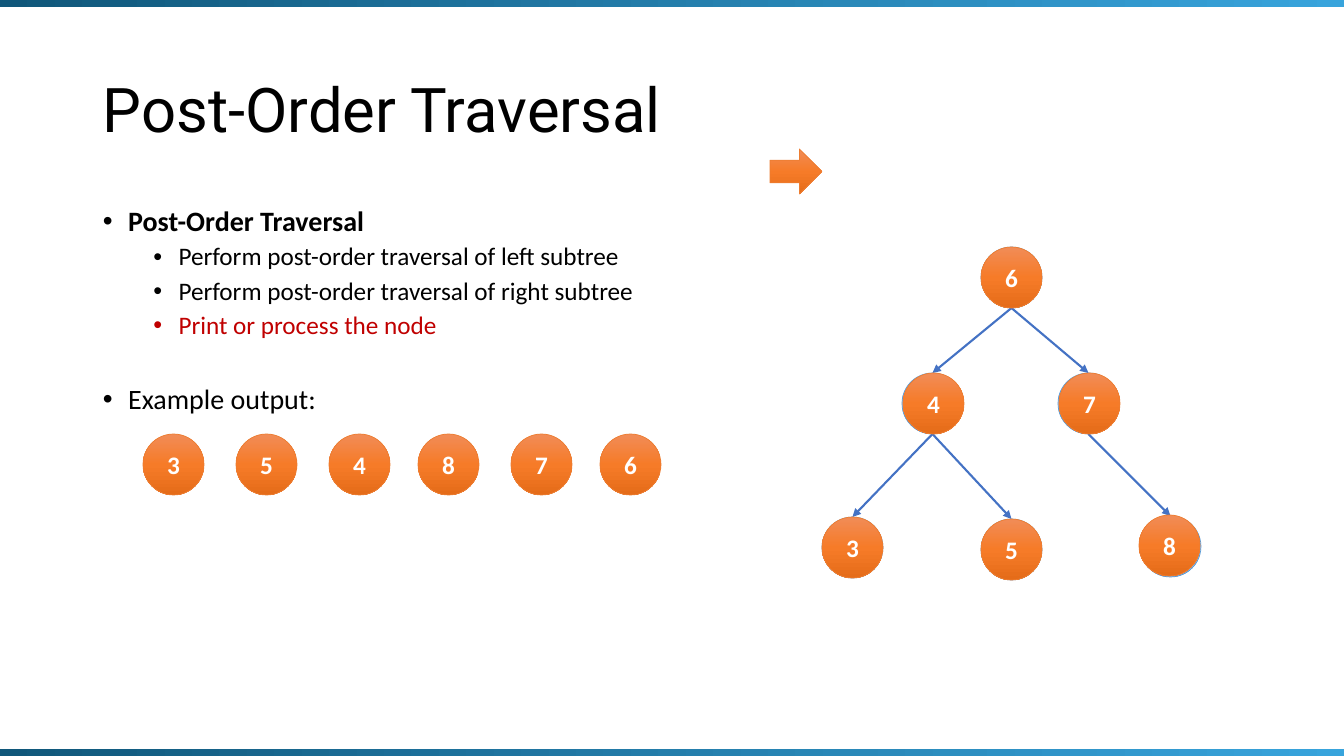
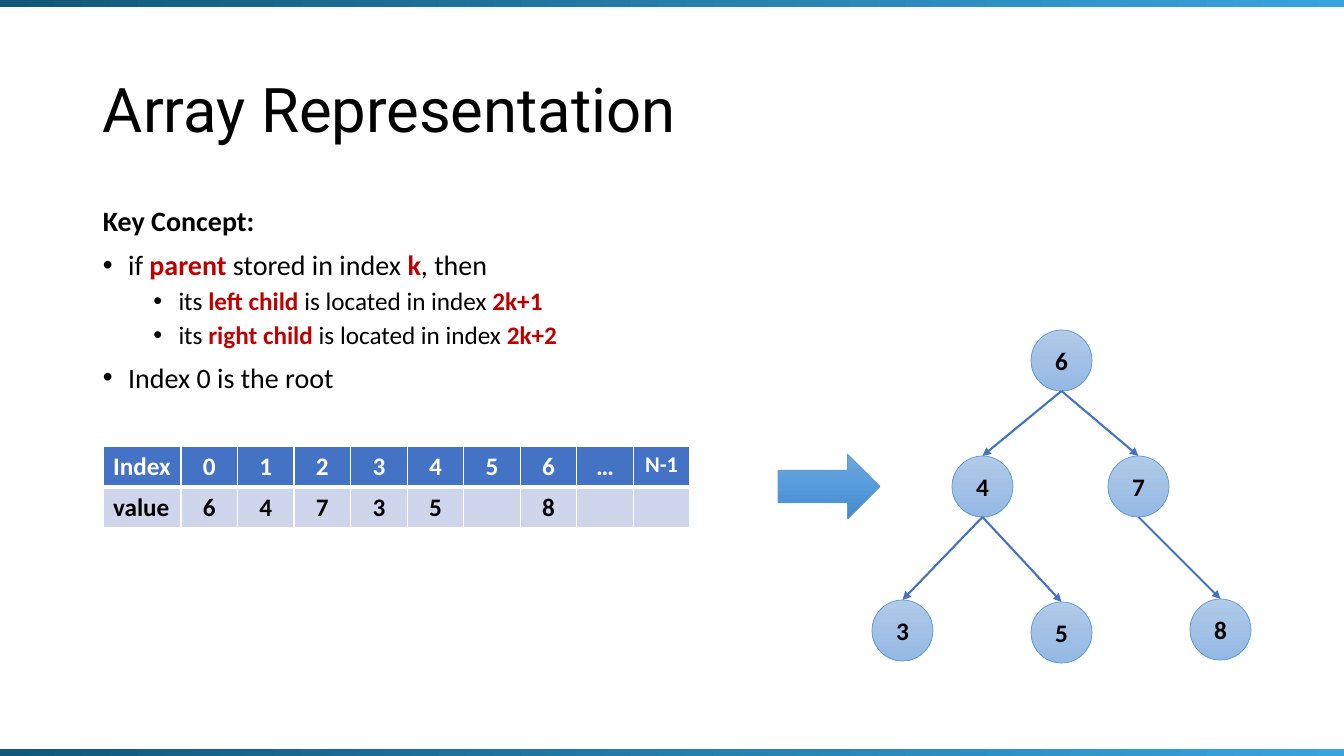
from copy import deepcopy
from pptx import Presentation
from pptx.dml.color import RGBColor
from pptx.enum.shapes import MSO_CONNECTOR, MSO_SHAPE
from pptx.enum.text import MSO_ANCHOR, PP_ALIGN
from pptx.oxml import parse_xml
from pptx.oxml.ns import nsdecls, qn
from pptx.util import Emu, Pt

SCALE = 914400 / 100.8
WIDTH, HEIGHT = 1344, 756
NODE = 61
BLACK, WHITE, RED = "000000", "FFFFFF", "C00000"
EDGE, CELL = "4472C4", "CFD5EA"
BAND = ("10577A", "38A4DC")
BLUE = dict(stops=("B1CBE9", "A3C1E5", "93B9E4"), line="5B9BD5", text=BLACK)
DEEP_BLUE = dict(stops=("71A6DB", "559BDB", "448ACA"), line="5B9BD5")
ORANGE = dict(stops=("F18C57", "F67B28", "E56C19"), line="ED7D31", text=WHITE)

TREE = {"6": (981, 247), "4": (902, 373), "7": (1058, 373),
        "3": (822, 517), "5": (981, 519), "8": (1140, 516)}
EDGES = ("64", "67", "43", "45", "78")


def px(n):
    return Emu(round(n * SCALE))


def rgb(value):
    return RGBColor.from_string(value)


def apply(obj, **values):
    for name, value in values.items():
        setattr(obj, name, value)


class Deck:
    def __init__(self):
        self.prs = Presentation()
        apply(self.prs, slide_width=px(WIDTH), slide_height=px(HEIGHT))

    def slide(self, title):
        self.s = self.prs.slides.add_slide(self.prs.slide_layouts[6])
        tf = self.textbox(93, 40, 1159, 146)
        tf.vertical_anchor = MSO_ANCHOR.MIDDLE
        p = tf.paragraphs[0]
        p.line_spacing = 0.9
        self.run(p, title, name="Roboto", size=Pt(44))
        for y in (-1, 749):
            self.shape(MSO_SHAPE.RECTANGLE, 0, y, WIDTH, 8, BAND, angle=0)

    def textbox(self, x, y, w, h):
        tf = self.s.shapes.add_textbox(px(x), px(y), px(w), px(h)).text_frame
        tf.word_wrap = True
        return tf

    def run(self, p, text, color=BLACK, **fmt):
        r = p.add_run()
        r.text = text
        apply(r.font, **{"name": "Calibri", "size": Pt(18), **fmt})
        r.font.color.rgb = rgb(color)

    def body(self, w, paragraphs):
        tf = self.textbox(93, 202, w, 480)
        for i, (level, text, fmt) in enumerate(paragraphs):
            p = tf.paragraphs[0] if i == 0 else tf.add_paragraph()
            fmt = dict(fmt)
            before = fmt.pop("before", 5 if level == 2 else 10)
            apply(p, line_spacing=0.9, space_before=Pt(before))
            if level:
                p.level = level - 1
                self.bullet(p, 228600 if level == 1 else 685800)
            size = Pt(18 if level == 2 else 20)
            for k, part in enumerate(text.split("|")):
                mark = dict(color=RED, bold=True) if k % 2 else fmt
                if part:
                    self.run(p, part, size=size, **mark)

    def bullet(self, p, margin):
        pPr = p._p.get_or_add_pPr()
        pPr.set("marL", str(margin))
        pPr.set("indent", "-228600")
        for tag in ('buFont typeface="Arial"', 'buChar char="•"'):
            pPr.append(parse_xml(f'<a:{tag} {nsdecls("a")}/>'))

    def shape(self, kind, x, y, w, h, stops, line=None, angle=270):
        sp = self.s.shapes.add_shape(kind, px(x), px(y), px(w), px(h))
        sp.shadow.inherit = False
        sp.fill.gradient()
        sp.fill.gradient_angle = angle
        gs = sp.element.spPr.find(".//" + qn("a:gsLst"))
        while len(gs) < len(stops):
            gs.append(deepcopy(gs[0]))
        for i, (stop, color) in enumerate(zip(sp.fill.gradient_stops, stops)):
            stop.color.rgb = rgb(color)
            stop.position = i / (len(stops) - 1)
        if line:
            sp.line.color.rgb = rgb(line)
            sp.line.width = Pt(0.5)
        else:
            sp.line.fill.background()
        return sp

    def node(self, x, y, label, look):
        sp = self.shape(MSO_SHAPE.OVAL, x, y, NODE, NODE, look["stops"], look["line"])
        sp.text_frame.vertical_anchor = MSO_ANCHOR.MIDDLE
        p = sp.text_frame.paragraphs[0]
        p.alignment = PP_ALIGN.CENTER
        self.run(p, label, look["text"], bold=True)

    def nodes(self, places, look):
        for label, (x, y) in places.items():
            self.node(x, y, label, look)

    def edge(self, x1, y1, x2, y2):
        c = self.s.shapes.add_connector(MSO_CONNECTOR.STRAIGHT, px(x1), px(y1), px(x2), px(y2))
        c.line.color.rgb = rgb(EDGE)
        c.line.width = Pt(1.5)
        c.line._get_or_add_ln().append(parse_xml(f'<a:tailEnd type="triangle" {nsdecls("a")}/>'))
        c._element.spPr.append(parse_xml(f'<a:effectLst {nsdecls("a")}/>'))

    def tree(self, dx=0, dy=0):
        places = {label: (x + dx, y + dy) for label, (x, y) in TREE.items()}
        self.nodes(places, BLUE)
        for parent, child in EDGES:
            (x1, y1), (x2, y2) = places[parent], places[child]
            self.edge(x1 + NODE / 2, y1 + NODE, x2 + NODE / 2, y2)

    def arrow(self, x, y, w, h, look):
        self.shape(MSO_SHAPE.RIGHT_ARROW, x, y, w, h, look["stops"], look["line"])

    def table(self, x, y, w, first, row_h, rows):
        n = len(rows[0])
        table = self.s.shapes.add_table(len(rows), n, px(x), px(y), px(w), px(row_h * len(rows))).table
        table.horz_banding = False
        for j, col in enumerate(table.columns):
            col.width = px((w - first) / (n - 1) if j else first)
        for i, texts in enumerate(rows):
            table.rows[i].height = px(row_h)
            for j, text in enumerate(texts):
                cell = table.cell(i, j)
                self.borders(cell, bottom=1 if i else 3)
                cell.fill.solid()
                cell.fill.fore_color.rgb = rgb(CELL if i else EDGE)
                p = cell.text_frame.paragraphs[0]
                p.alignment = PP_ALIGN.CENTER if j else PP_ALIGN.LEFT
                if text:
                    size = Pt(16 if text == "N-1" else 18)
                    self.run(p, text, BLACK if i else WHITE, size=size, bold=True)

    def borders(self, cell, bottom):
        tcPr = cell._tc.get_or_add_tcPr()
        for side, width in dict(L=1, R=1, T=1, B=bottom).items():
            tcPr.append(parse_xml(
                f'<a:ln{side} w="{Pt(width)}" {nsdecls("a")}><a:solidFill>'
                f'<a:srgbClr val="{WHITE}"/></a:solidFill></a:ln{side}>'))


deck = Deck()

deck.slide("Post-Order Traversal")
deck.body(602, [
    (1, "Post-Order Traversal", dict(bold=True)),
    (2, "Perform post-order traversal of left subtree", {}),
    (2, "Perform post-order traversal of right subtree", {}),
    (2, "Print or process the node", dict(color=RED)),
    (1, "Example output:", dict(before=32.5)),
])
deck.tree()
output = dict(zip("354876", (143, 236, 329, 418, 511, 600)))
deck.nodes({label: (x, 434) for label, x in output.items()}, ORANGE)
deck.arrow(770, 149, 52, 45, ORANGE)
visited = {**TREE, "4": (903, 373), "7": (1059, 373), "8": (1139, 515)}
deck.nodes(visited, ORANGE)

deck.slide("Array Representation")
deck.body(622, [
    (0, "Key Concept:", dict(bold=True)),
    (1, "if |parent| stored in index |k|, then", {}),
    (2, "its |left child| is located in index |2k+1|", {}),
    (2, "its |right child| is located in index |2k+2|", {}),
    (1, "Index 0 is the root", {}),
])
deck.tree(50, 83)
deck.table(103, 446, 587, 78, 41, [
    ["Index", *"0123456", "…", "N-1"],
    ["value", *"64735", "", "8", "", ""],
])
deck.arrow(778, 454, 102, 65, DEEP_BLUE)

deck.prs.save("out.pptx")
